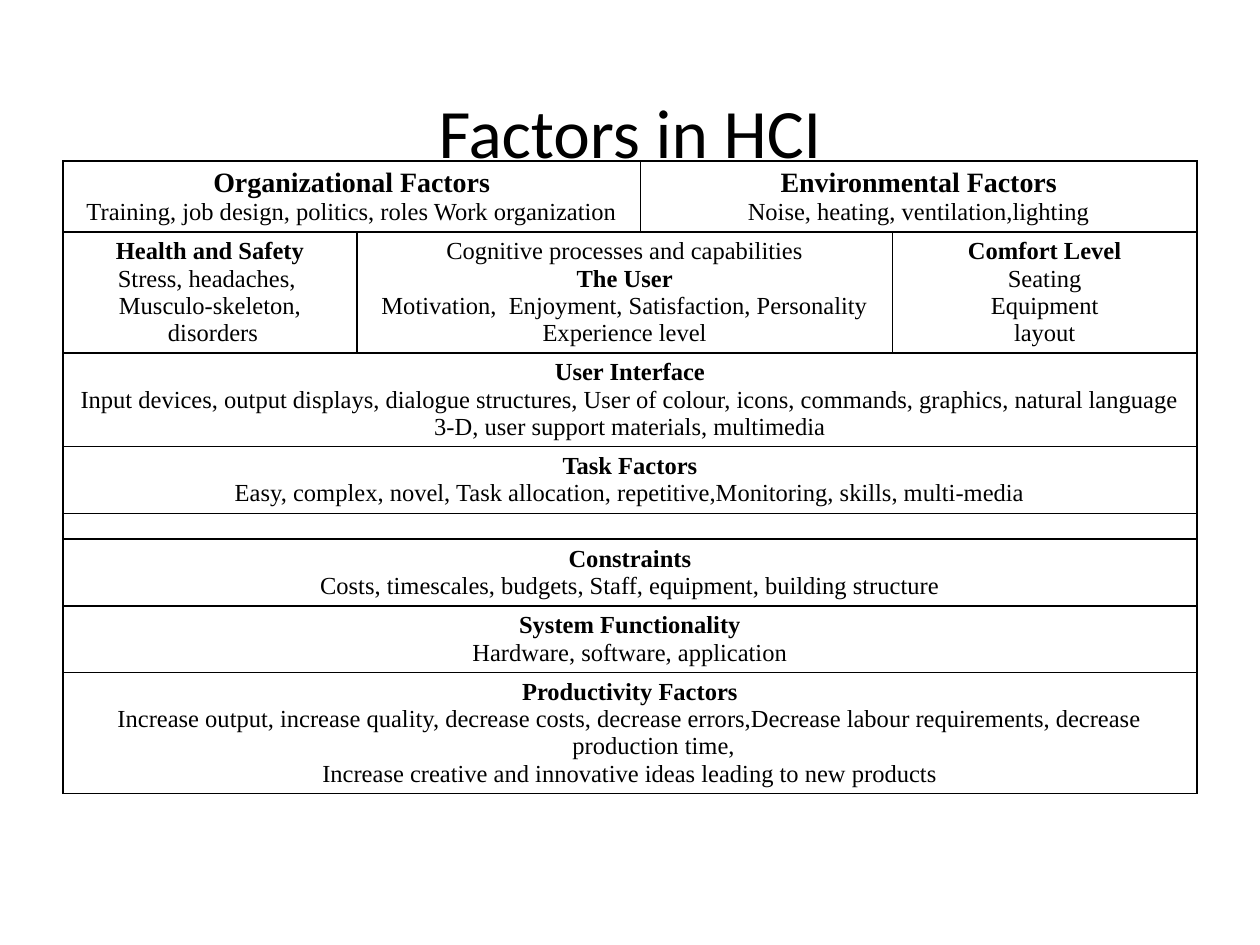
import pptx
import pptx.util
import pptx.dml.color
import pptx.enum.text
import pptx.oxml.ns
from lxml import etree

Pt = pptx.util.Pt
qn = pptx.oxml.ns.qn
CENTER = pptx.enum.text.PP_ALIGN.CENTER
MIDDLE = pptx.enum.text.MSO_ANCHOR.MIDDLE
COLORS = {"ink": "000000"}
INK = pptx.dml.color.RGBColor.from_string(COLORS["ink"])


def add_run(para, text, size, face, bold=False):
    run = para.add_run()
    run.text = text
    run.font.size = Pt(size)
    run.font.name = face
    run.font.bold = bold
    run.font.color.rgb = INK


def add_edges(cell):
    """Draw a 1 pt line on all four sides of a cell."""
    props = cell._tc.get_or_add_tcPr()
    for side in ("lnL", "lnR", "lnT", "lnB"):
        line = etree.SubElement(props, qn("a:" + side), w=str(Pt(1)))
        fill = etree.SubElement(line, qn("a:solidFill"))
        etree.SubElement(fill, qn("a:srgbClr"), val=COLORS["ink"])


deck = pptx.Presentation()
deck.slide_width, deck.slide_height = Pt(720), Pt(540)
slide = deck.slides.add_slide(deck.slide_layouts[5])

title = slide.shapes.title
title.left, title.top, title.width, title.height = Pt(36), Pt(54), Pt(648), Pt(42)
frame = title.text_frame
frame.auto_size = pptx.enum.text.MSO_AUTO_SIZE.NONE
frame.vertical_anchor = MIDDLE
frame.paragraphs[0].alignment = CENTER
add_run(frame.paragraphs[0], "Factors in HCI", 39.6, "Calibri")

# Each row: height, then cells as (first column, last column, heading, lines)
rows = [
    (40.5, [
        (0, 1, "Organizational Factors",
         ["Organizational Factors",
          "Training, job design, politics, roles Work organization"]),
        (2, 3, "Environmental Factors",
         ["Environmental Factors", "Noise, heating, ventilation,lighting"])]),
    (69, [
        (0, 0, "Health and Safety",
         ["Health and Safety", "Stress, headaches, ", "Musculo-skeleton,",
          " disorders"]),
        (1, 2, "The User",
         ["Cognitive processes and capabilities", "The User",
          "Motivation,  Enjoyment, Satisfaction, Personality",
          "Experience level"]),
        (3, 3, "Comfort Level",
         ["Comfort Level", "Seating", "Equipment", "layout"])]),
    (53.5, [
        (0, 3, "User Interface",
         ["User Interface",
          "Input devices, output displays, dialogue structures, User of colour, "
          "icons, commands, graphics, natural language",
          "3-D, user support materials, multimedia"])]),
    (38, [
        (0, 3, "Task Factors",
         ["Task Factors",
          "Easy, complex, novel, Task allocation, repetitive,Monitoring, "
          "skills, multi-media"])]),
    (14.3, [(0, 3, "", [])]),
    (38, [
        (0, 3, "Constraints",
         ["Constraints",
          "Costs, timescales, budgets, Staff, equipment, building structure"])]),
    (38, [
        (0, 3, "System Functionality",
         ["System Functionality", "Hardware, software, application"])]),
    (69, [
        (0, 3, "Productivity Factors",
         ["Productivity Factors",
          "Increase output, increase quality, decrease costs, decrease errors,"
          "Decrease labour requirements, decrease production time,",
          "Increase creative and innovative ideas leading to new products"])]),
]
widths = [168, 162, 144, 174]

high = sum(height for height, cells in rows)
table = slide.shapes.add_table(
    len(rows), len(widths), Pt(36), Pt(92), Pt(sum(widths)), Pt(high)).table
table.first_row = table.horz_banding = False
for col, width in zip(table.columns, widths):
    col.width = Pt(width)

for r, (height, cells) in enumerate(rows):
    table.rows[r].height = Pt(height)
    for c in range(len(widths)):
        cell = table.cell(r, c)
        add_edges(cell)
        cell.fill.background()
        # A small end mark keeps empty cells from stretching their row
        etree.SubElement(cell.text_frame.paragraphs[0]._p,
                         qn("a:endParaRPr"), sz="600")
    for first, last, head, lines in cells:
        cell = table.cell(r, first)
        if last > first:
            cell.merge(table.cell(r, last))
        frame = cell.text_frame
        for i, text in enumerate(lines):
            para = frame.add_paragraph() if i else frame.paragraphs[0]
            para.alignment = CENTER
            props = para._p.get_or_add_pPr()
            props.set("marL", str(Pt(27)))
            props.set("indent", str(Pt(-27)))
            bold = text == head
            add_run(para, text, 16 if bold and r == 0 else 14,
                    "Times New Roman", bold)

deck.save("out.pptx")
